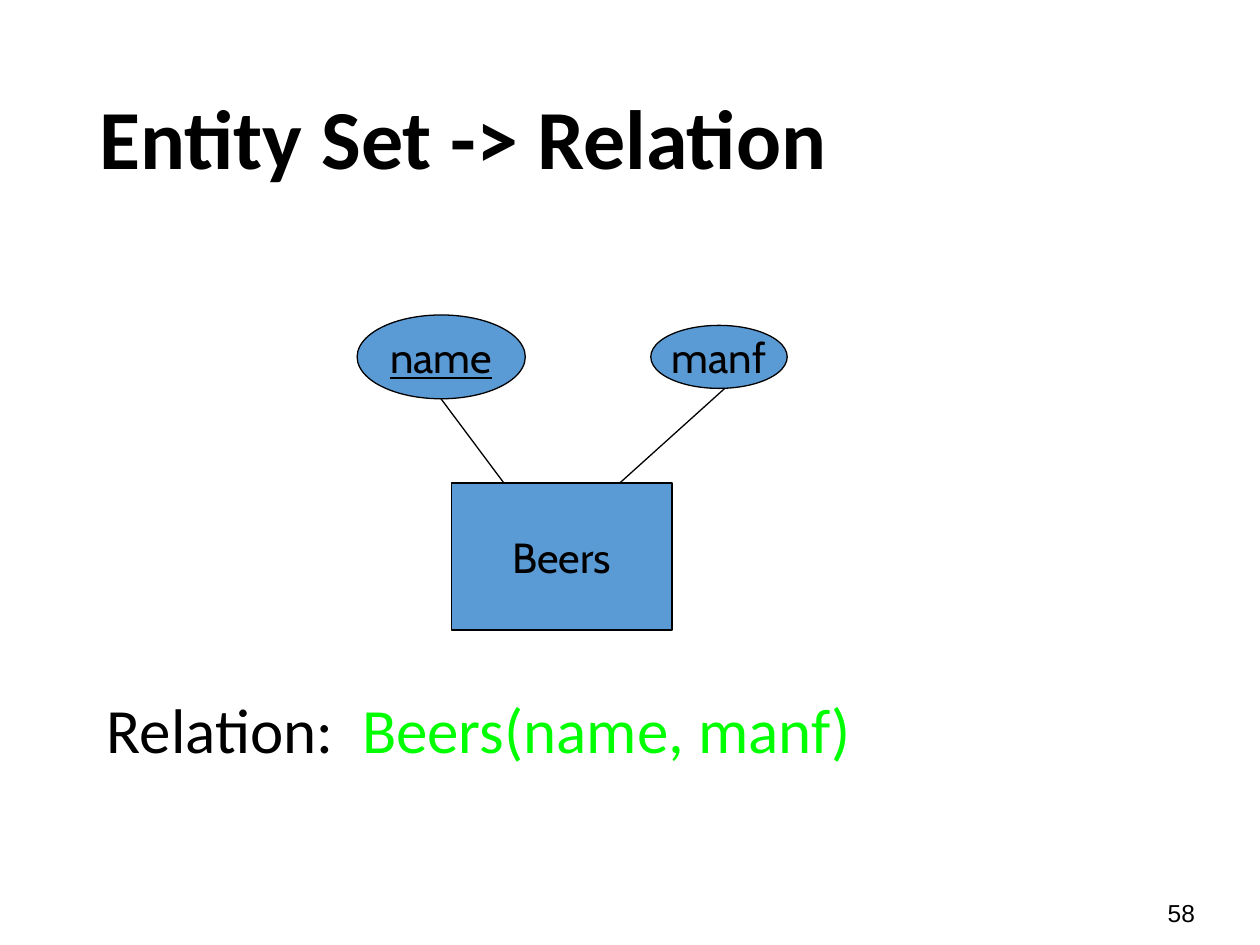
from lxml.etree import SubElement
from pptx import Presentation
from pptx.dml.color import RGBColor
from pptx.enum.shapes import MSO_CONNECTOR, MSO_SHAPE
from pptx.enum.text import MSO_ANCHOR, MSO_AUTO_SIZE, PP_ALIGN
from pptx.oxml.ns import qn
from pptx.util import Cm, Pt

# Content: texts, then shapes and lines in cm
TITLE = "Entity Set -> Relation"
BODY = [("Relation:  ", "000000"), ("Beers(name, manf)", "00FF00")]
PAGE = "58"
NODES = [
    ("Beers", MSO_SHAPE.RECTANGLE, (9.1, 9.74, 4.45, 2.96), False),
    ("name", MSO_SHAPE.OVAL, (7.2, 6.35, 3.39, 1.69), True),
    ("manf", MSO_SHAPE.OVAL, (13.12, 6.56, 2.75, 1.27), False),
]
LINES = [(8.89, 8.04, 10.16, 9.74), (14.61, 7.83, 12.49, 9.74)]

# Formats
HEAD = {"name": "Calibri", "size": Pt(48), "bold": True}
LIST = {"name": "Calibri", "size": Pt(36)}
NODE = {"name": "Cabin", "size": Pt(24)}
FOOT = {"name": "Arial", "size": Pt(14)}


def tint(part, hex):
    part.rgb = RGBColor.from_string(hex)


def write(para, text, form, hex="000000"):
    run = para.add_run()
    run.text = text
    for key, val in form.items():
        setattr(run.font, key, val)
    tint(run.font.color, hex)


def place(shape, *box):
    for key, val in zip(("left", "top", "width", "height"), box):
        setattr(shape, key, Cm(val))


def ink(line):
    tint(line.color, "000000")
    line.width = Pt(0.75)


deck = Presentation()
deck.slide_width, deck.slide_height = Cm(25.4), Cm(19.05)
slide = deck.slides.add_slide(deck.slide_layouts[1])
shapes = slide.shapes

# Title
head = shapes.title
place(head, 1.75, 1.02, 21.92, 3.68)
head.text_frame.vertical_anchor = MSO_ANCHOR.MIDDLE
para = head.text_frame.paragraphs[0]
para.alignment = PP_ALIGN.LEFT
para.line_spacing = 0.9
write(para, TITLE, HEAD)

# Relation line
body = slide.placeholders[1]
place(body, 1.9, 13.97, 21.6, 2.11)
para = body.text_frame.paragraphs[0]
props = para._p.get_or_add_pPr()
props.set("marL", str(Cm(0.48)))
props.set("indent", str(Cm(-0.48)))
SubElement(props, qn("a:buNone"))
para.line_spacing = 0.9
para.space_before = Pt(0)
for text, hex in BODY:
    write(para, text, LIST, hex)

# Entity and its attributes
for text, kind, box, key in NODES:
    node = shapes.add_shape(kind, *map(Cm, box))
    node.shadow.inherit = False
    node.fill.solid()
    tint(node.fill.fore_color, "5B9BD5")
    ink(node.line)
    frame = node.text_frame
    frame.word_wrap = False
    frame.vertical_anchor = MSO_ANCHOR.MIDDLE
    para = frame.paragraphs[0]
    para.alignment = PP_ALIGN.CENTER
    write(para, text, {**NODE, "underline": key})

# Links
for ends in LINES:
    link = shapes.add_connector(MSO_CONNECTOR.STRAIGHT, *map(Cm, ends))
    ink(link.line)
    SubElement(link._element.spPr, qn("a:effectLst"))

# Page number
foot = shapes.add_textbox(*map(Cm, (23.29, 17.98, 1.47, 0.86)))
foot.text_frame.word_wrap = True
foot.text_frame.auto_size = MSO_AUTO_SIZE.SHAPE_TO_FIT_TEXT
write(foot.text_frame.paragraphs[0], PAGE, FOOT)

deck.save("out.pptx")
